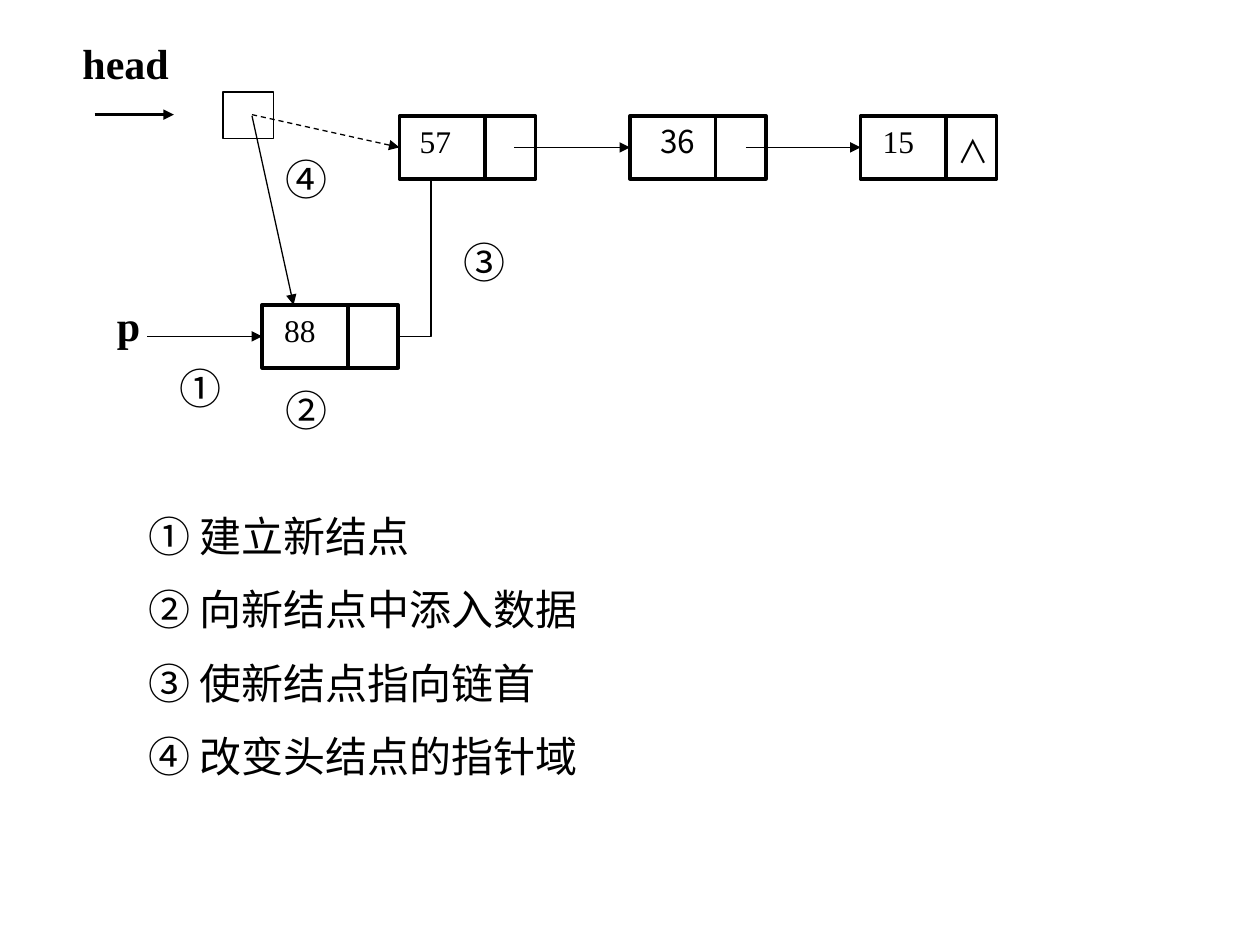
from lxml.etree import SubElement
from pptx import Presentation
from pptx.dml.color import RGBColor
from pptx.enum.dml import MSO_LINE
from pptx.enum.shapes import MSO_CONNECTOR, MSO_SHAPE
from pptx.enum.text import PP_ALIGN
from pptx.oxml.ns import qn
from pptx.util import Inches, Pt

COLORS = {"ink": "000000", "paper": "FFFFFF"}
INK = RGBColor.from_string(COLORS["ink"])
PAPER = RGBColor.from_string(COLORS["paper"])
SERIF, SYMBOL, CHINESE = "Times New Roman", "Noto Sans CJK JP", "Noto Sans CJK SC"
NODE_WIDTH, NODE_HEIGHT, DIVIDER = 1.08, 0.5, 0.68

deck = Presentation()
deck.slide_width, deck.slide_height = Inches(10), Inches(7.5)
page = deck.slides.add_slide(deck.slide_layouts[6])


def add_text(text, left, top, width, height, font, size=24, side=0.1, edge=0.05,
             bold=False, align=PP_ALIGN.LEFT):
    box = page.shapes.add_textbox(Inches(left), Inches(top), Inches(width), Inches(height))
    frame = box.text_frame
    frame.word_wrap = True
    frame.margin_left = frame.margin_right = Inches(side)
    frame.margin_top = frame.margin_bottom = Inches(edge)
    para = frame.paragraphs[0]
    para.alignment = align
    span = para.add_run()
    span.text = text
    span.font.name, span.font.size, span.font.bold = font, Pt(size), bold
    span.font.color.rgb = INK
    SubElement(span.font._element, qn("a:ea")).set("typeface", font)


def add_line(start, end, weight=0.75, arrow=True, dashed=False):
    points = [Inches(value) for value in (*start, *end)]
    line = page.shapes.add_connector(MSO_CONNECTOR.STRAIGHT, *points)
    line.line.color.rgb = INK
    line.line.width = Pt(weight)
    if dashed:
        line.line.dash_style = MSO_LINE.DASH
    if arrow:
        SubElement(line.line._get_or_add_ln(), qn("a:tailEnd")).set("type", "triangle")
    SubElement(line._element.spPr, qn("a:effectLst"))


nodes = [
    ("57", 3.17, 0.92, 3.33, SERIF, PP_ALIGN.LEFT),
    ("36", 5, 0.92, 5.17, SYMBOL, PP_ALIGN.CENTER),
    ("15", 6.83, 0.92, 6.92, SERIF, PP_ALIGN.CENTER),
    ("88", 2.08, 2.42, 2.17, SERIF, PP_ALIGN.CENTER),
]
for value, left, top, text_left, font, align in nodes:
    node = page.shapes.add_shape(MSO_SHAPE.RECTANGLE, Inches(left), Inches(top),
                                 Inches(NODE_WIDTH), Inches(NODE_HEIGHT))
    node.shadow.inherit = False
    node.fill.background()
    node.line.color.rgb = INK
    node.line.width = Pt(2)
    add_line((left + DIVIDER, top), (left + DIVIDER, top + NODE_HEIGHT), 2, arrow=False)
    add_text(value, text_left, top, 0.42, 0.4, font, 18, side=0, align=align)
add_text("∧", 7.5, 1, 0.42, 0.4, SYMBOL, 18)

head_node = page.shapes.add_shape(MSO_SHAPE.RECTANGLE, Inches(1.77), Inches(0.73),
                                  Inches(0.4), Inches(0.37))
head_node.shadow.inherit = False
head_node.fill.solid()
head_node.fill.fore_color.rgb = PAPER
head_node.line.color.rgb = INK
head_node.line.width = Pt(0.75)

builder = page.shapes.build_freeform(Inches(3.17), Inches(2.67))
builder.add_line_segments([(Inches(3.42), Inches(2.67)), (Inches(3.42), Inches(1.42))],
                          close=False)
new_node_link = builder.convert_to_shape()
new_node_link.shadow.inherit = False
new_node_link.fill.background()
new_node_link.line.color.rgb = INK
new_node_link.line.width = Pt(0.75)

add_line((4.08, 1.17), (5, 1.17))
add_line((5.92, 1.17), (6.83, 1.17))
add_line((1.17, 2.67), (2.08, 2.67))
add_line((0.75, 0.91), (1.38, 0.91), 1.5)
add_line((2, 0.91), (3.17, 1.17), dashed=True)
add_line((2, 0.92), (2.33, 2.42))

add_text("head", 0.57, 0.3, 0.77, 0.43, SERIF, side=0, edge=0, bold=True,
         align=PP_ALIGN.RIGHT)
add_text("p", 0.83, 2.33, 0.83, 0.5, SERIF, bold=True)

for mark, left, top in [("①", 1.33, 2.83), ("②", 2.17, 3), ("③", 3.58, 1.83), ("④", 2.17, 1.17)]:
    add_text(mark, left, top, 0.83, 0.5, SYMBOL)

steps = ["① 建立新结点", "② 向新结点中添入数据", "③ 使新结点指向链首", "④ 改变头结点的指针域"]
for index, step in enumerate(steps):
    add_text(step, 1.08, 4 + index * 1.75 / 3, 3.92, 0.5, CHINESE)

deck.save("out.pptx")
